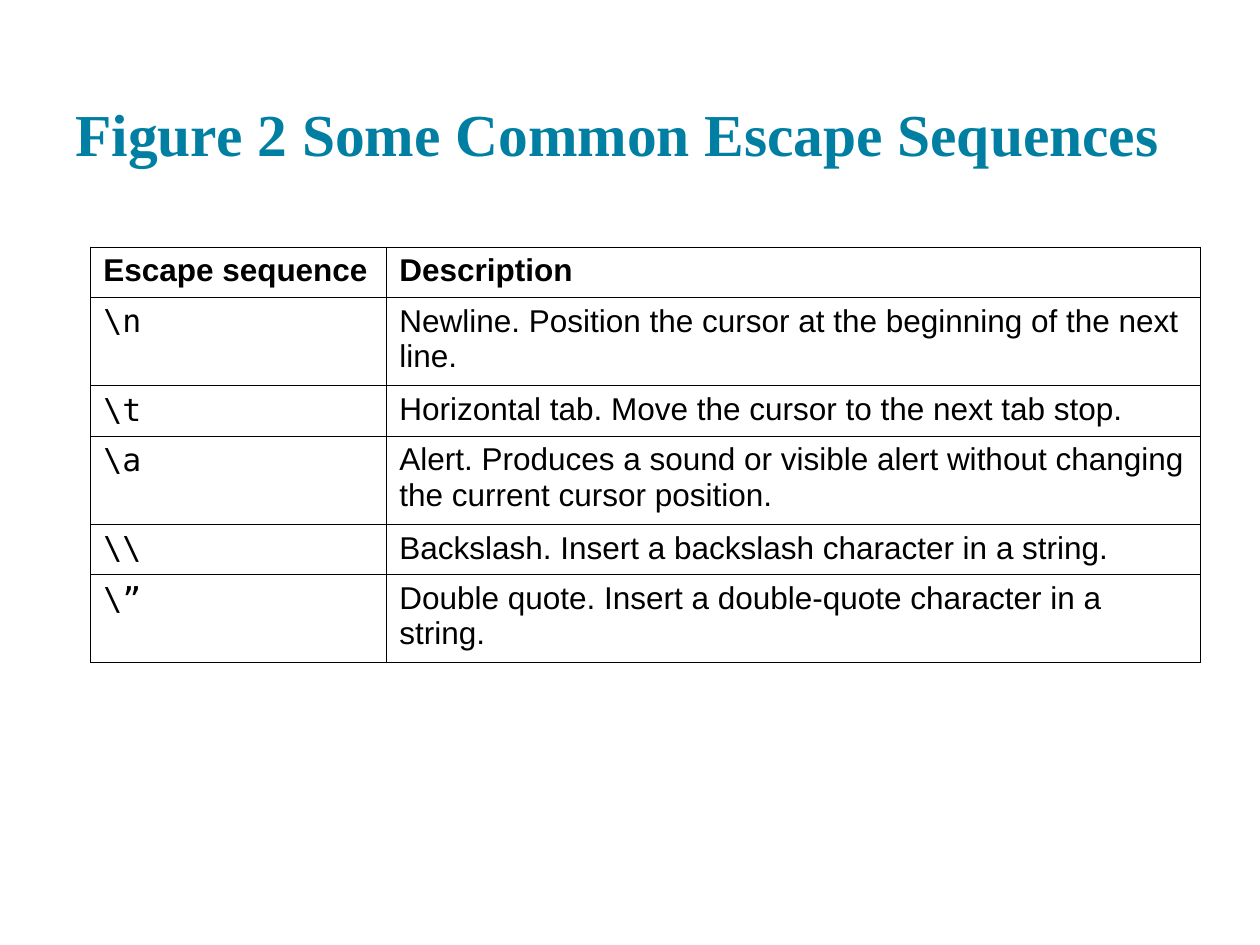
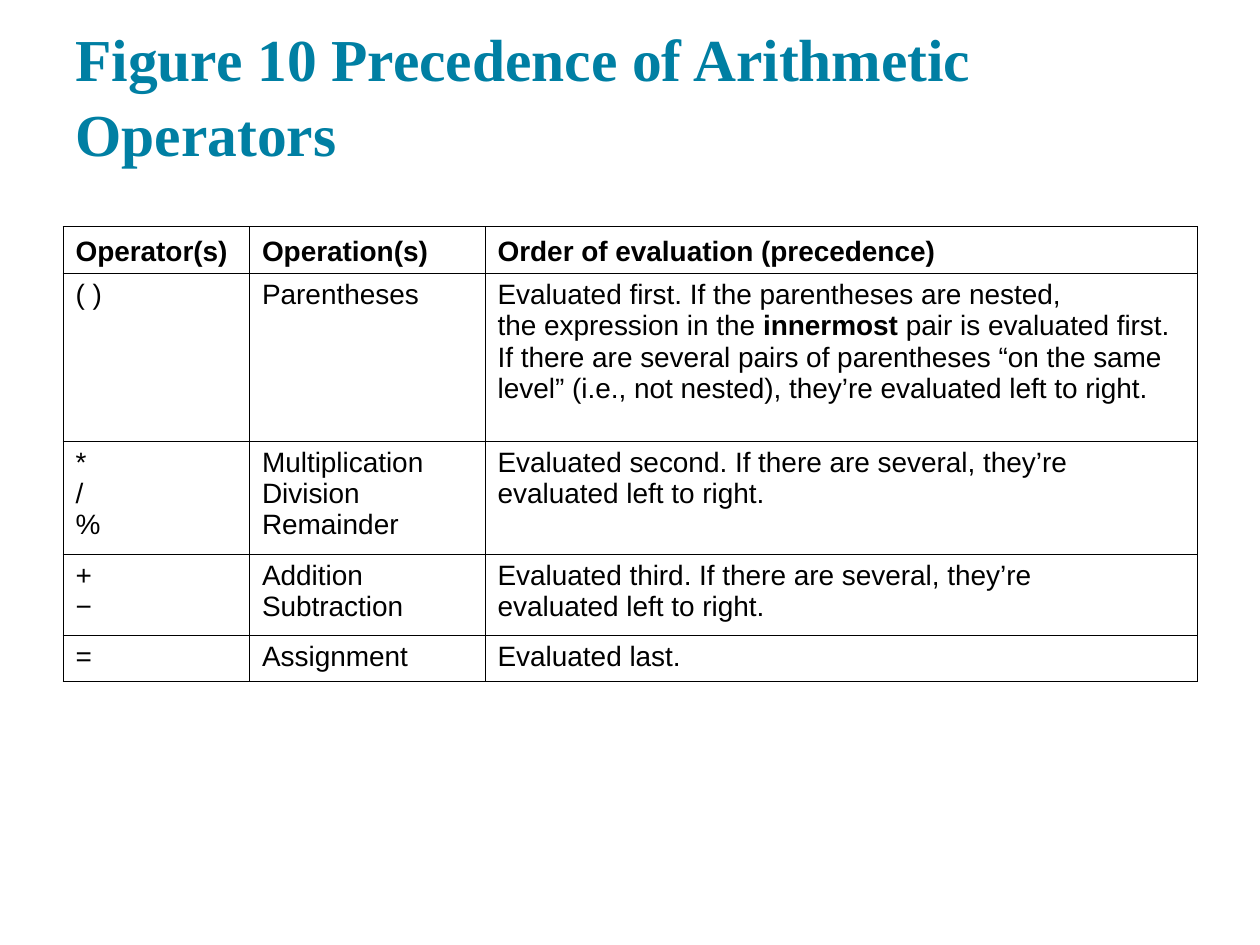
from dataclasses import dataclass

from pptx import Presentation
from pptx.dml.color import RGBColor
from pptx.enum.text import MSO_ANCHOR as Anchor, MSO_AUTO_SIZE as AutoSize, PP_ALIGN as Align
from pptx.oxml import parse_xml
from pptx.oxml.ns import nsdecls
from pptx.slide import Slide
from pptx.table import _Cell as Cell
from pptx.text.text import TextFrame
from pptx.util import Inches, Pt

TEAL = "007FA3"
BLACK = "000000"
SERIF = "Times New Roman"
SANS = "Arial"
MONO = "DejaVu Sans Mono"
BORDER = Pt(0.45)
BOLD_MARK = "**"


@dataclass
class FigureTable:
    left: float
    top: float
    cols: list[float]
    row_heights: list[float]
    rows: list[list[str]]
    size: int
    first_col_font: str = SANS
    header_anchor: Anchor = Anchor.TOP


@dataclass
class Figure:
    title: str
    title_width: float
    table: FigureTable


FIGURES = [
    Figure(
        "Figure 2 Some Common Escape Sequences", 9.18,
        FigureTable(
            left=0.72, top=1.96, size=18, first_col_font=MONO,
            cols=[2.35, 6.46], row_heights=[0.4, 0.7, 0.4, 0.7, 0.4, 0.7],
            rows=[
                ["Escape sequence", "Description"],
                [r"\n", "Newline. Position the cursor at the beginning of the next line."],
                [r"\t", "Horizontal tab. Move the cursor to the next tab stop."],
                [r"\a", "Alert. Produces a sound or visible alert without changing "
                        "the current cursor position."],
                [r"\\", "Backslash. Insert a backslash character in a string."],
                [r"\”", "Double quote. Insert a double-quote character in a string."],
            ],
        ),
    ),
    Figure(
        "Figure 10 Precedence of Arithmetic Operators", 9,
        FigureTable(
            left=0.5, top=1.8, size=16, header_anchor=Anchor.BOTTOM,
            cols=[1.48, 1.87, 5.65], row_heights=[0.37, 1.33, 0.9, 0.64, 0.37],
            rows=[
                ["Operator(s)", "Operation(s)", "Order of evaluation (precedence)"],
                ["( )", "Parentheses",
                 "Evaluated first. If the parentheses are nested,\n"
                 "the expression in the **innermost **pair is evaluated first. "
                 "If there are several pairs of parentheses “on the same level” "
                 "(i.e., not nested), they’re evaluated left to right."],
                ["*\n/\n%", "Multiplication\nDivision\nRemainder",
                 "Evaluated second. If there are several, they’re\nevaluated left to right."],
                ["+\n−", "Addition\nSubtraction",
                 "Evaluated third. If there are several, they’re\nevaluated left to right."],
                ["=", "Assignment", "Evaluated last."],
            ],
        ),
    ),
]


def rgb(color: str) -> RGBColor:
    return RGBColor.from_string(color)


def write(tf: TextFrame, text: str, font: str, size: int, color: str, bold: bool) -> None:
    """Write one paragraph per line; text between bold marks switches weight."""
    for i, line in enumerate(text.split("\n")):
        p = tf.add_paragraph() if i else tf.paragraphs[0]
        p.alignment = Align.LEFT
        for j, part in enumerate(line.split(BOLD_MARK)):
            r = p.add_run()
            r.text = part
            r.font.name = font
            r.font.size = Pt(size)
            r.font.bold = bold or j % 2 == 1
            r.font.color.rgb = rgb(color)


def add_title(s: Slide, text: str, width: float) -> None:
    sp = s.shapes.title
    sp.left, sp.top = Inches(0.5), Inches(0.24)
    sp.width, sp.height = Inches(width), Inches(1.2)
    tf = sp.text_frame
    tf.auto_size = AutoSize.NONE
    tf.word_wrap = True
    tf.vertical_anchor = Anchor.BOTTOM
    tf.margin_left = tf.margin_right = tf.margin_top = tf.margin_bottom = Inches(0.1)
    write(tf, text, SERIF, 34, TEAL, bold=True)
    tf.paragraphs[0].line_spacing = 1.05


def add_borders(cell: Cell) -> None:
    tc_pr = cell._tc.get_or_add_tcPr()
    for side in "LRTB":
        tc_pr.append(parse_xml(
            f'<a:ln{side} {nsdecls("a")} w="{BORDER}"><a:solidFill>'
            f'<a:srgbClr val="{BLACK}"/></a:solidFill></a:ln{side}>'))


def add_figure_table(s: Slide, spec: FigureTable) -> None:
    table = s.shapes.add_table(
        len(spec.rows), len(spec.cols), Inches(spec.left), Inches(spec.top),
        Inches(sum(spec.cols)), Inches(sum(spec.row_heights))).table
    table.first_row = table.horz_banding = False
    for col, width in zip(table.columns, spec.cols):
        col.width = Inches(width)
    for row, height in zip(table.rows, spec.row_heights):
        row.height = Inches(height)
    for i, texts in enumerate(spec.rows):
        header = i == 0
        for j, text in enumerate(texts):
            cell = table.cell(i, j)
            add_borders(cell)
            cell.fill.background()
            cell.vertical_anchor = spec.header_anchor if header else Anchor.TOP
            font = spec.first_col_font if j == 0 and not header else SANS
            write(cell.text_frame, text, font, spec.size, BLACK, bold=header)


def main() -> None:
    prs = Presentation()
    prs.slide_width, prs.slide_height = Inches(10), Inches(7.5)
    title_only = prs.slide_layouts.get_by_name("Title Only")
    for figure in FIGURES:
        s = prs.slides.add_slide(title_only)
        add_title(s, figure.title, figure.title_width)
        add_figure_table(s, figure.table)
    prs.save("out.pptx")


if __name__ == "__main__":
    main()
